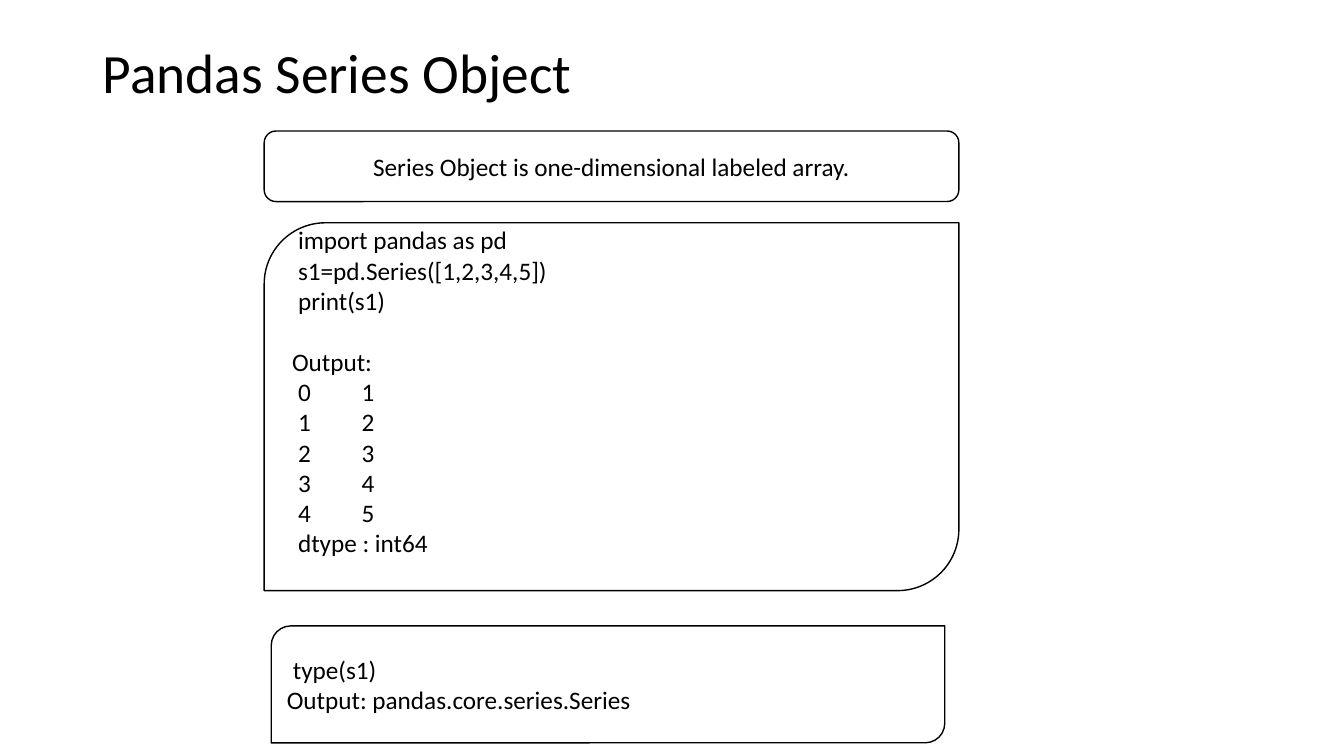
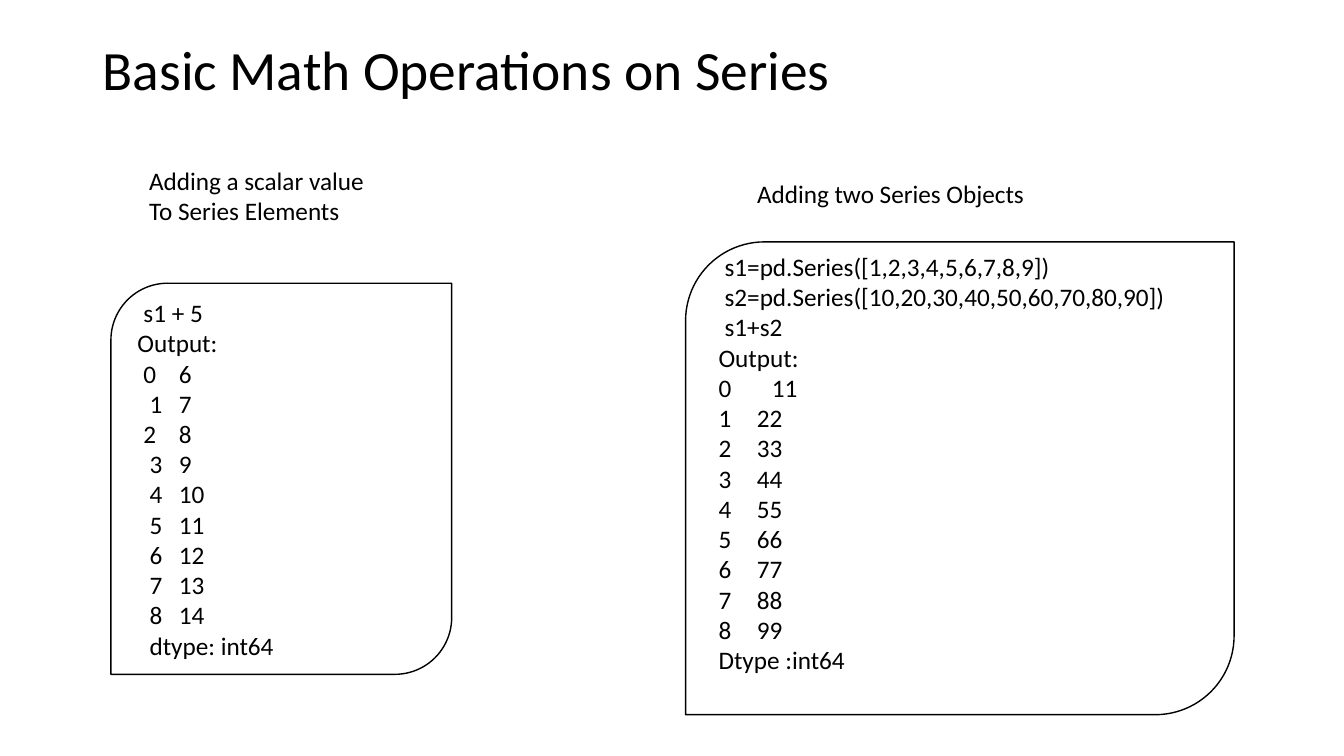
import dataclasses

import pptx
import pptx.dml.color
import pptx.enum.shapes
import pptx.enum.text
import pptx.oxml.ns
import pptx.util
from lxml import etree

Inches = pptx.util.Inches
Pt = pptx.util.Pt
SHAPE = pptx.enum.shapes.MSO_SHAPE
ANCHOR = pptx.enum.text.MSO_ANCHOR
ALIGN = pptx.enum.text.PP_ALIGN


@dataclasses.dataclass(frozen=True)
class Theme:
    font: str = "Calibri"
    ink: str = "000000"
    paper: str = "FFFFFF"
    title_size: float = 39.6
    body_size: float = 18
    line_width: float = 1
    line_height: float = 22  # points, one body line
    nudge: float = 0.06  # inches, one step of code indent


@dataclasses.dataclass(frozen=True)
class Line:
    text: str
    steps: int = 0  # code indent steps
    column: float = 0  # inches to the value after a tab or number
    gap: bool = False  # one line of space above
    numbered: bool = False


class Deck:
    def __init__(self, theme):
        self.theme = theme
        self.prs = pptx.Presentation()
        self.prs.slide_width = Inches(13.33)
        self.prs.slide_height = Inches(7.5)
        self.slide = None

    def color(self, value):
        return pptx.dml.color.RGBColor.from_string(value)

    def add_slide(self, title, height):
        self.slide = self.prs.slides.add_slide(self.prs.slide_layouts[6])
        tf = self.text((0.92, 0.4, 9, height), [Line(title)], size=self.theme.title_size)
        tf.vertical_anchor = ANCHOR.MIDDLE
        tf.paragraphs[0].line_spacing = 0.9

    def fill_text(self, tf, lines, size, align=ALIGN.LEFT):
        for i, line in enumerate(lines):
            p = tf.paragraphs[0] if i == 0 else tf.add_paragraph()
            p.text = line.text
            p.alignment = align
            if line.gap:
                p.space_before = Pt(self.theme.line_height)
            self.indent(p, line)
            for r in p.runs:
                r.font.name = self.theme.font
                r.font.size = Pt(size)
                r.font.color.rgb = self.color(self.theme.ink)

    def indent(self, p, line):
        start = line.steps * self.theme.nudge
        left = line.column or start
        pPr = p._p.get_or_add_pPr()
        pPr.set("marL", str(Inches(left)))
        pPr.set("indent", str(Inches(start - left)))
        if line.numbered:
            number = etree.SubElement(pPr, pptx.oxml.ns.qn("a:buAutoNum"))
            number.set("type", "arabicPlain")

    def text(self, box, lines, size=None, wrap=True):
        tf = self.slide.shapes.add_textbox(*map(Inches, box)).text_frame
        tf.word_wrap = wrap
        self.fill_text(tf, lines, size or self.theme.body_size)
        return tf

    def panel(self, kind, box, lines, align=ALIGN.LEFT, spare_line=False):
        sp = self.slide.shapes.add_shape(kind, *map(Inches, box))
        sp.shadow.inherit = False
        sp.fill.solid()
        sp.fill.fore_color.rgb = self.color(self.theme.paper)
        sp.line.color.rgb = self.color(self.theme.ink)
        sp.line.width = Pt(self.theme.line_width)
        tf = sp.text_frame
        tf.word_wrap = True
        tf.vertical_anchor = ANCHOR.MIDDLE
        if spare_line:
            tf.margin_bottom = Inches(0.05) + Pt(self.theme.line_height)
        self.fill_text(tf, lines, self.theme.body_size, align)

    def code(self, box, lines, spare_line=False):
        self.panel(SHAPE.ROUND_2_DIAG_RECTANGLE, box, lines, spare_line=spare_line)


def series_object(deck):
    deck.add_slide("Pandas Series Object", 0.7)
    deck.panel(SHAPE.ROUNDED_RECTANGLE, (2.62, 1.3, 6.89, 0.7),
               [Line("Series Object is one-dimensional labeled array.")], ALIGN.CENTER)
    # Code with its printed series
    source = ["import pandas as pd", "s1=pd.Series([1,2,3,4,5])", "print(s1)"]
    lines = [Line(text, 1) for text in source]
    lines.append(Line("Output:", gap=True))
    lines += [Line(f"{i}\t{i + 1}", 1, 0.69) for i in range(5)]
    lines.append(Line("dtype : int64", 1))
    deck.code((2.62, 2.21, 6.89, 3.65), lines, spare_line=True)
    # Type check
    deck.code((2.69, 6.21, 6.68, 1.16),
              [Line("type(s1)", 1), Line("Output: pandas.core.series.Series")])


def math_operations(deck):
    deck.add_slide("Basic Math Operations on Series", 0.63)
    # Scalar addition
    deck.text((1.38, 1.59, 2.92, 0.71),
              [Line("Adding a scalar value"), Line("To Series Elements")])
    lines = [Line("s1 + 5", 1), Line("Output:")]
    lines += [Line(f"{i}\t{i + 6}", 1 if i in (0, 2) else 2, 0.41) for i in range(9)]
    lines.append(Line("dtype: int64", 2))
    deck.code((1.1, 2.81, 3.38, 3.88), lines)
    # Series addition
    deck.text((7.41, 1.72, 2.88, 0.4), [Line("Adding two Series Objects")], wrap=False)
    source = ["s1=pd.Series([1,2,3,4,5,6,7,8,9])",
              "s2=pd.Series([10,20,30,40,50,60,70,80,90])", "s1+s2"]
    lines = [Line(text, 1) for text in source]
    lines += [Line("Output:"), Line("0\t11", column=0.53)]
    lines += [Line(str(11 * n), column=0.38, numbered=True) for n in range(2, 10)]
    lines.append(Line("Dtype :int64"))
    deck.code((6.8, 2.4, 5.44, 4.69), lines, spare_line=True)


def main():
    deck = Deck(Theme())
    series_object(deck)
    math_operations(deck)
    deck.prs.save("out.pptx")


if __name__ == "__main__":
    main()
